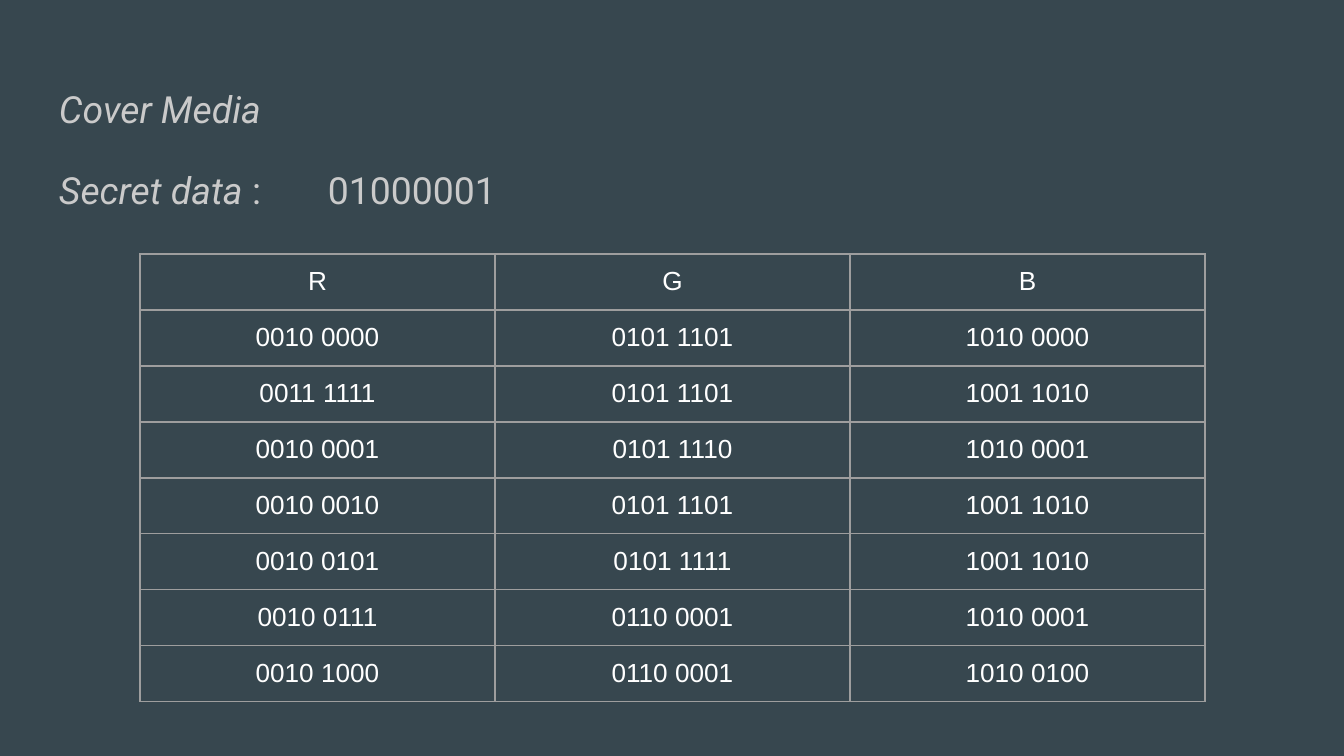
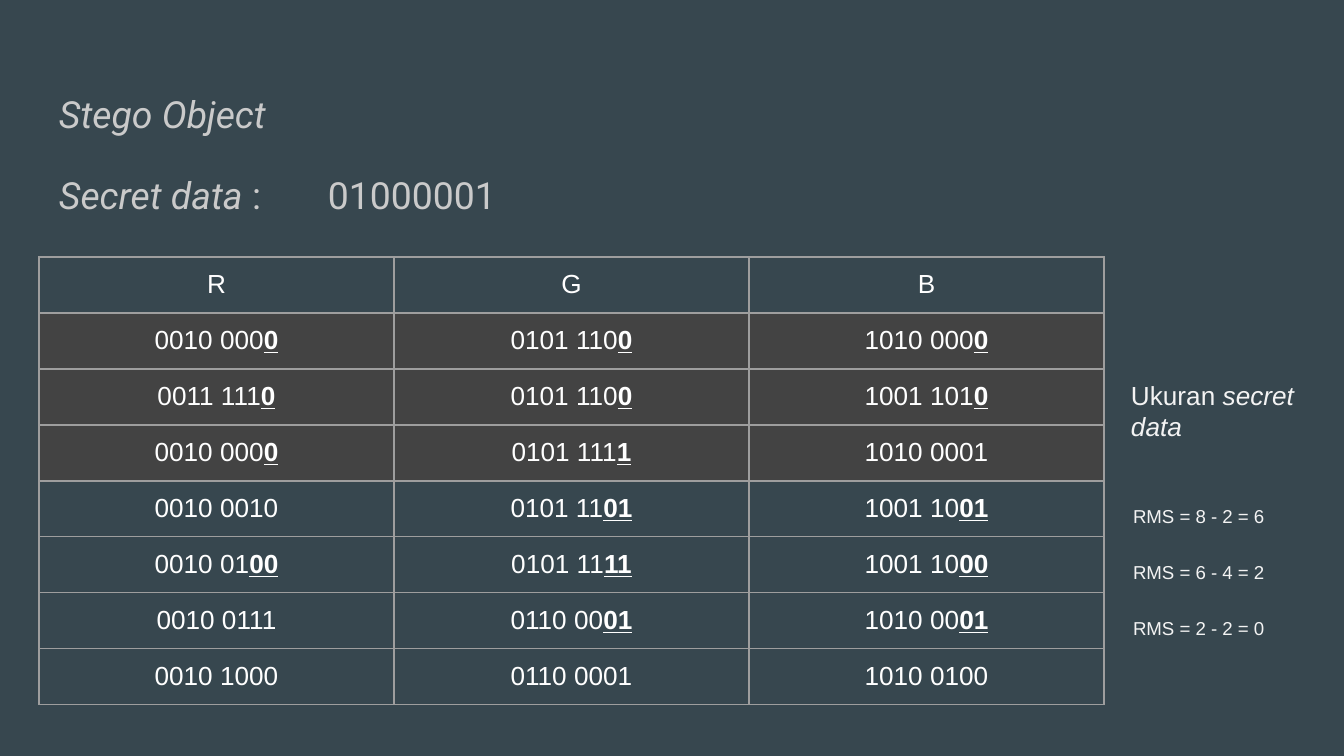
from lxml import etree
from pptx import Presentation
from pptx.dml.color import RGBColor
from pptx.enum.text import MSO_ANCHOR, MSO_AUTO_SIZE, PP_ALIGN
from pptx.oxml.ns import qn
from pptx.util import Emu, Pt

PIXEL = 914400 / 134.4
BACKGROUND, HEADING, GRID = "37474F", "CACACA", "9E9E9E"
WHITE, NOTE, USED_ROW = "FFFFFF", "F3F3F3", "434343"
INSET, COLUMN_WIDTH, ROW_HEIGHT = 13, 355, 56
COLUMNS = ["R", "G", "B"]

# A bar marks where the replaced bits of a value begin.
SLIDES = [
    {
        "heading": "Cover Media ",
        "body": (46, 66, 1253, 605),
        "table": (140, 254),
        "used_rows": (),
        "pixels": [
            ["0010 0000", "0101 1101", "1010 0000"],
            ["0011 1111", "0101 1101", "1001 1010"],
            ["0010 0001", "0101 1110", "1010 0001"],
            ["0010 0010", "0101 1101", "1001 1010"],
            ["0010 0101", "0101 1111", "1001 1010"],
            ["0010 0111", "0110 0001", "1010 0001"],
            ["0010 1000", "0110 0001", "1010 0100"],
        ],
        "notes": [],
    },
    {
        "heading": "Stego Object",
        "body": (46, 71, 1253, 601),
        "table": (39, 257),
        "used_rows": (1, 2, 3),
        "pixels": [
            ["0010 000|0", "0101 110|0", "1010 000|0"],
            ["0011 111|0", "0101 110|0", "1001 101|0"],
            ["0010 000|0", "0101 111|1", "1010 0001"],
            ["0010 0010", "0101 11|01", "1001 10|01"],
            ["0010 01|00", "0101 11|11", "1001 10|00"],
            ["0010 0111", "0110 00|01", "1010 00|01"],
            ["0010 1000", "0110 0001", "1010 0100"],
        ],
        "notes": [
            ((1118, 366, 207, 85), 14, [("Ukuran ", False), ("secret data", True)]),
            *[
                ((1120, 492 + step * ROW_HEIGHT, 179, ROW_HEIGHT), 10, [(sizes, False)])
                for step, sizes in enumerate(
                    ["RMS = 8 - 2 = 6", "RMS = 6 - 4 = 2", "RMS = 2 - 2 = 0"]
                )
            ],
        ],
    },
]


def px(*lengths):
    """Turn pixel lengths into a list of EMU lengths."""
    return [Emu(round(length * PIXEL)) for length in lengths]


def add_run(paragraph, text, size, color, face="Arial", italic=False, marked=False):
    """Append a formatted run; a marked run is bold and underlined."""
    run = paragraph.add_run()
    run.text = text
    run.font.name, run.font.size = face, Pt(size)
    run.font.italic, run.font.bold, run.font.underline = italic, marked, marked
    run.font.color.rgb = RGBColor.from_string(color)


deck = Presentation()
deck.slide_width, deck.slide_height = px(1344, 756)
inset, = px(INSET)

for content in SLIDES:
    slide = deck.slides.add_slide(deck.slide_layouts[1])
    slide.background.fill.solid()
    slide.background.fill.fore_color.rgb = RGBColor.from_string(BACKGROUND)
    unused_title = slide.shapes.title.element
    unused_title.getparent().remove(unused_title)

    # Heading and secret data
    body = slide.placeholders[1]
    body.left, body.top, body.width, body.height = px(*content["body"])
    frames = [body.text_frame]
    body.text_frame.vertical_anchor = MSO_ANCHOR.TOP
    heading = body.text_frame.paragraphs[0]
    secret = body.text_frame.add_paragraph()
    add_run(heading, content["heading"], 20, HEADING, "Roboto", italic=True)
    add_run(secret, "Secret data ", 20, HEADING, "Roboto", italic=True)
    add_run(secret, ":\t01000001", 20, HEADING, "Roboto")
    for paragraph in (heading, secret):
        paragraph.line_spacing = 1.15
        paragraph.space_before, paragraph.space_after = Pt(0), Pt(16)
        properties = paragraph._p.get_or_add_pPr()
        properties.set("marL", "0")
        properties.set("indent", "0")
        etree.SubElement(properties, qn("a:buNone"))
        stops = etree.SubElement(properties, qn("a:tabLst"))
        etree.SubElement(stops, qn("a:tab"), pos=str(px(269)[0]), algn="l")

    # Colour values of the pixels
    rows = [COLUMNS] + content["pixels"]
    size = (COLUMN_WIDTH * len(COLUMNS), ROW_HEIGHT * len(rows))
    table = slide.shapes.add_table(
        len(rows), len(COLUMNS), *px(*content["table"], *size)
    ).table
    table.first_row = table.horz_banding = False
    for column in table.columns:
        column.width, = px(COLUMN_WIDTH)
    for row_number, values in enumerate(rows):
        table.rows[row_number].height, = px(ROW_HEIGHT)
        for column_number, value in enumerate(values):
            cell = table.cell(row_number, column_number)
            cell.margin_left = cell.margin_right = inset
            cell.margin_top = cell.margin_bottom = inset
            if row_number in content["used_rows"]:
                cell.fill.solid()
                cell.fill.fore_color.rgb = RGBColor.from_string(USED_ROW)
            else:
                cell.fill.background()
            paragraph = cell.text_frame.paragraphs[0]
            paragraph.alignment = PP_ALIGN.CENTER
            kept, _, replaced = value.partition("|")
            add_run(paragraph, kept, 14, WHITE)
            if replaced:
                add_run(paragraph, replaced, 14, WHITE, marked=True)
            cell_properties = cell._tc.get_or_add_tcPr()
            for position, side in enumerate(["lnL", "lnR", "lnT", "lnB"]):
                border = etree.Element(qn(f"a:{side}"), w=str(Pt(0.75)))
                paint = etree.SubElement(border, qn("a:solidFill"))
                etree.SubElement(paint, qn("a:srgbClr"), val=GRID)
                cell_properties.insert(position, border)

    # Notes on the size of the secret data
    for box, points, parts in content["notes"]:
        note = slide.shapes.add_textbox(*px(*box)).text_frame
        frames.append(note)
        for text, italic in parts:
            add_run(note.paragraphs[0], text, points, NOTE, italic=italic)

    for frame in frames:
        frame.word_wrap = True
        frame.auto_size = MSO_AUTO_SIZE.NONE
        frame.margin_left = frame.margin_right = inset
        frame.margin_top = frame.margin_bottom = inset

deck.save("out.pptx")
